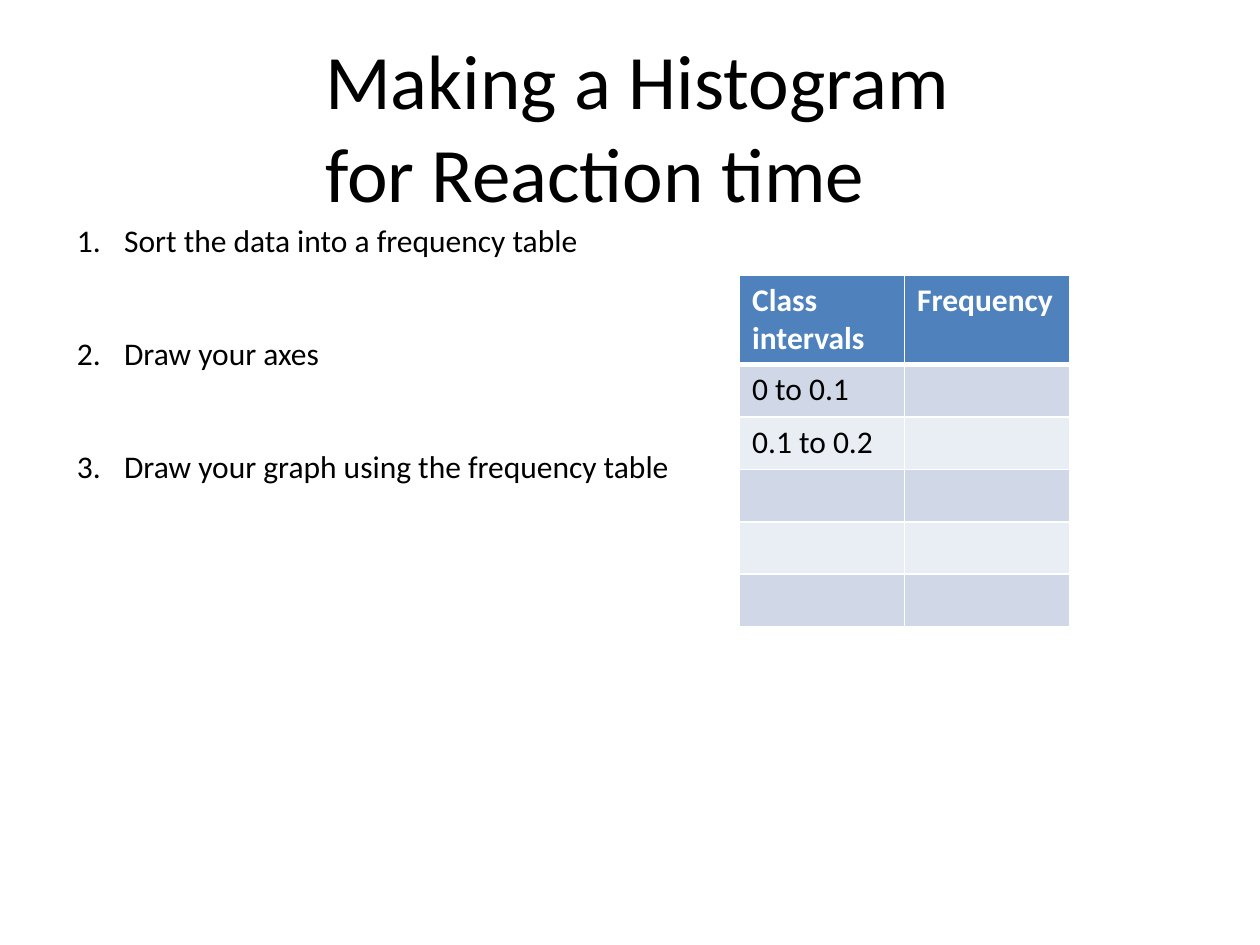
"""Build a slide on making a histogram of reaction times."""
from lxml import etree
from pptx import Presentation
from pptx.dml.color import RGBColor
from pptx.enum.text import MSO_ANCHOR, MSO_AUTO_SIZE, PP_ALIGN
from pptx.oxml.ns import qn
from pptx.util import Pt

TOP = MSO_ANCHOR.TOP
FIXED = MSO_AUTO_SIZE.NONE
LEFT = PP_ALIGN.LEFT
BLACK = RGBColor(0x00, 0x00, 0x00)
WHITE = RGBColor(0xFF, 0xFF, 0xFF)
HEADER_BLUE = RGBColor(0x4F, 0x81, 0xBD)
BANDS = (RGBColor(0xE9, 0xED, 0xF4), RGBColor(0xD0, 0xD8, 0xE8))

STEPS = (
    "Sort the data into a frequency table",
    "Draw your axes",
    "Draw your graph using the frequency table",
)
FREQUENCIES = (
    ("Class intervals", "Frequency"),
    ("0 to 0.1", ""),
    ("0.1 to 0.2", ""),
    ("", ""),
    ("", ""),
    ("", ""),
)


def write(paragraph, text, size=18, color=BLACK, bold=False, font="Calibri", before=0):
    paragraph.alignment = LEFT
    paragraph.space_before = Pt(before)
    if text:
        run = paragraph.add_run()
        run.text = text
        run.font.name = font
        run.font.size = Pt(size)
        run.font.bold = bold
        run.font.color.rgb = color


class HistogramSlide:
    def __init__(self, deck):
        self.slide = deck.slides.add_slide(deck.slide_layouts[1])
        self.border = WHITE

    def place(self, holder, left, top, width, height):
        holder.left, holder.top = Pt(left), Pt(top)
        holder.width, holder.height = Pt(width), Pt(height)
        frame = holder.text_frame
        frame.auto_size = FIXED
        frame.word_wrap = True
        frame.vertical_anchor = TOP
        return frame

    def title(self, text, *box):
        frame = self.place(self.slide.shapes.title, *box)
        write(frame.paragraphs[0], text, size=44)

    def numbered_list(self, items, *box, indent=27, gap=43):
        frame = self.place(self.slide.placeholders[1], *box)
        for index, item in enumerate(items):
            paragraph = frame.add_paragraph() if index else frame.paragraphs[0]
            properties = paragraph._p.get_or_add_pPr()
            properties.set("marL", str(Pt(indent)))
            properties.set("indent", str(-Pt(indent)))
            etree.SubElement(properties, qn("a:buFont"), typeface="Calibri")
            etree.SubElement(properties, qn("a:buAutoNum"), type="arabicPeriod")
            write(paragraph, item, before=gap if index else 0)

    def cell_borders(self, cell, **widths):
        properties = cell._tc.get_or_add_tcPr()
        for position, (side, width) in enumerate(widths.items()):
            line = etree.Element(qn(f"a:ln{side}"), w=str(Pt(width)))
            fill = etree.SubElement(line, qn("a:solidFill"))
            etree.SubElement(fill, qn("a:srgbClr"), val=str(self.border))
            properties.insert(position, line)

    def table(self, rows, left, top, column_width, header_height, row_height):
        columns = len(rows[0])
        height = header_height + row_height * (len(rows) - 1)
        table = self.slide.shapes.add_table(
            len(rows), columns, Pt(left), Pt(top), Pt(column_width * columns), Pt(height)
        ).table
        table.horz_banding = False
        for column in table.columns:
            column.width = Pt(column_width)
        for r, values in enumerate(rows):
            header = r == 0
            table.rows[r].height = Pt(header_height if header else row_height)
            for c, value in enumerate(values):
                cell = table.cell(r, c)
                cell.fill.solid()
                cell.fill.fore_color.rgb = HEADER_BLUE if header else BANDS[r % 2]
                write(cell.text_frame.paragraphs[0], value,
                      color=WHITE if header else BLACK, bold=header)
                self.cell_borders(cell, L=1, R=1, T=3 if r == 1 else 1, B=3 if header else 1)


def main():
    deck = Presentation()
    deck.slide_width, deck.slide_height = Pt(720), Pt(540)
    page = HistogramSlide(deck)
    page.title("Making a Histogram for Reaction time", 178.6, 15.1, 374.4, 113.8)
    page.numbered_list(STEPS, 36.7, 122.4, 357.1, 159.8)
    page.table(FREQUENCIES, 422.6, 157, 94.3, 50, 30)
    deck.save("out.pptx")


if __name__ == "__main__":
    main()
